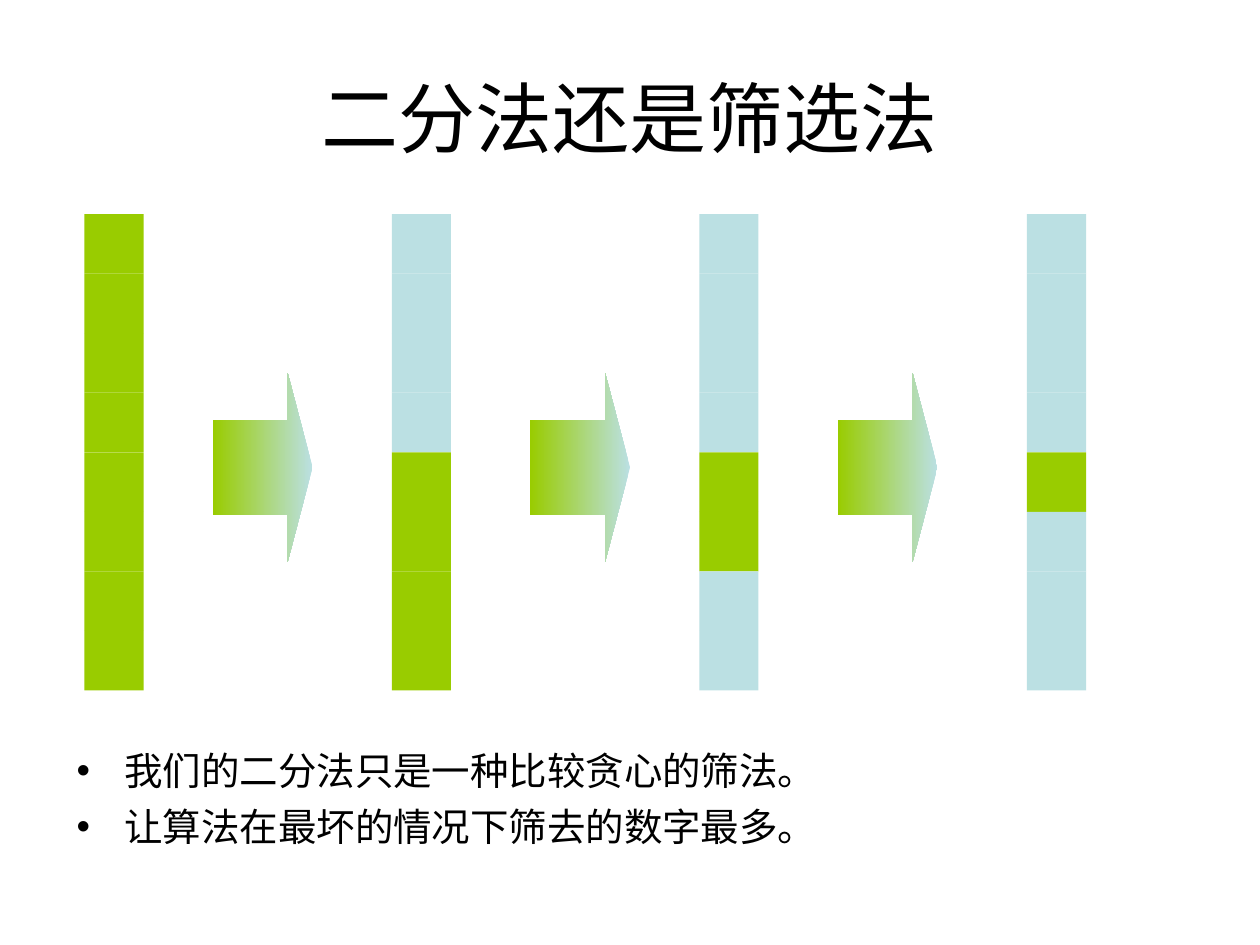
from lxml.etree import SubElement
from pptx import Presentation
from pptx.dml.color import RGBColor
from pptx.enum.shapes import MSO_SHAPE as Shape
from pptx.enum.text import MSO_ANCHOR as Anchor, PP_ALIGN as Align
from pptx.oxml.ns import qn
from pptx.util import Inches, Pt

COLORS = {"text": "000000", "kept": "99CC00", "removed": "BBE0E3"}
FONT = "Arial"

CELL_COUNT = 8
COLUMN_TOP, COLUMN_HEIGHT, CELL_WIDTH = 1.7, 3.78, 0.47
ARROW_TOP, ARROW_WIDTH, ARROW_HEIGHT = 2.96, 0.79, 1.5

# Left edge of each column and the range of cells still kept
COLUMNS = [(0.67, range(0, 8)), (3.11, range(4, 8)),
           (5.55, range(4, 6)), (8.15, range(4, 5))]
ARROW_LEFTS = [1.69, 4.21, 6.65]


class SlideBuilder:
    def __init__(self, page):
        self.page = page

    def color(self, name):
        return RGBColor.from_string(COLORS[name])

    def text_box(self, left, top, width, height, anchor):
        box = self.page.shapes.add_textbox(
            Inches(left), Inches(top), Inches(width), Inches(height))
        frame = box.text_frame
        frame.word_wrap = True
        frame.vertical_anchor = anchor
        return frame

    def add_span(self, para, text, size):
        span = para.add_run()
        span.text = text
        span.font.name = FONT
        span.font.size = Pt(size)
        span.font.color.rgb = self.color("text")

    def title(self, text):
        frame = self.text_box(0.5, 0.3, 9, 1.25, Anchor.MIDDLE)
        para = frame.paragraphs[0]
        para.alignment = Align.CENTER
        self.add_span(para, text, 44)

    def bullets(self, lines):
        frame = self.text_box(0.51, 5.88, 9, 1.02, Anchor.TOP)
        for index, line in enumerate(lines):
            para = frame.add_paragraph() if index else frame.paragraphs[0]
            if index:
                para.space_before = Pt(5.5)
            properties = para._p.get_or_add_pPr()
            properties.set("marL", str(Inches(0.38)))
            properties.set("indent", str(-Inches(0.38)))
            SubElement(properties, qn("a:buFont"), typeface=FONT)
            SubElement(properties, qn("a:buChar"), char="•")
            self.add_span(para, line, 22)

    def column(self, left, kept):
        group = self.page.shapes.add_group_shape()
        step = COLUMN_HEIGHT / CELL_COUNT
        for index in range(CELL_COUNT):
            cell = group.shapes.add_shape(
                Shape.RECTANGLE, Inches(left), Inches(COLUMN_TOP + index * step),
                Inches(CELL_WIDTH), Inches(step))
            cell.shadow.inherit = False
            cell.fill.solid()
            cell.fill.fore_color.rgb = self.color("kept" if index in kept else "removed")
            cell.line.fill.background()

    def arrow(self, left):
        arrow = self.page.shapes.add_shape(
            Shape.RIGHT_ARROW, Inches(left), Inches(ARROW_TOP),
            Inches(ARROW_WIDTH), Inches(ARROW_HEIGHT))
        arrow.shadow.inherit = False
        arrow.adjustments[0] = 0.5
        arrow.adjustments[1] = 0.25
        arrow.line.fill.background()
        arrow.fill.gradient()
        arrow.fill.gradient_angle = 180
        for stop, name in zip(arrow.fill.gradient_stops, ("removed", "kept")):
            stop.color.rgb = self.color(name)


def main():
    deck = Presentation()
    deck.slide_width, deck.slide_height = Inches(10), Inches(7.5)
    slide = SlideBuilder(deck.slides.add_slide(deck.slide_layouts[6]))

    # Text
    slide.title("二分法还是筛选法")
    slide.bullets(["我们的二分法只是一种比较贪心的筛法。",
                   "让算法在最坏的情况下筛去的数字最多。"])

    # Sieving steps
    for left, kept in COLUMNS:
        slide.column(left, kept)
    for left in ARROW_LEFTS:
        slide.arrow(left)

    deck.save("out.pptx")


if __name__ == "__main__":
    main()
